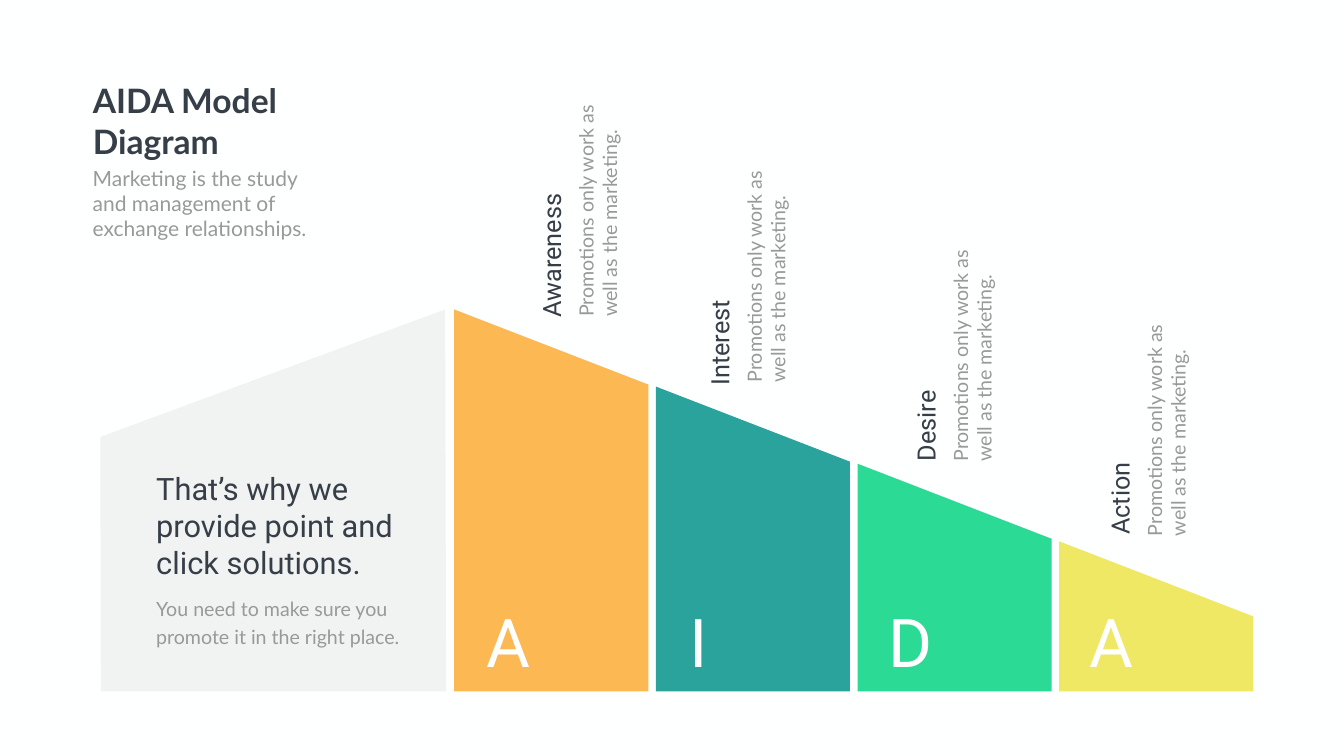
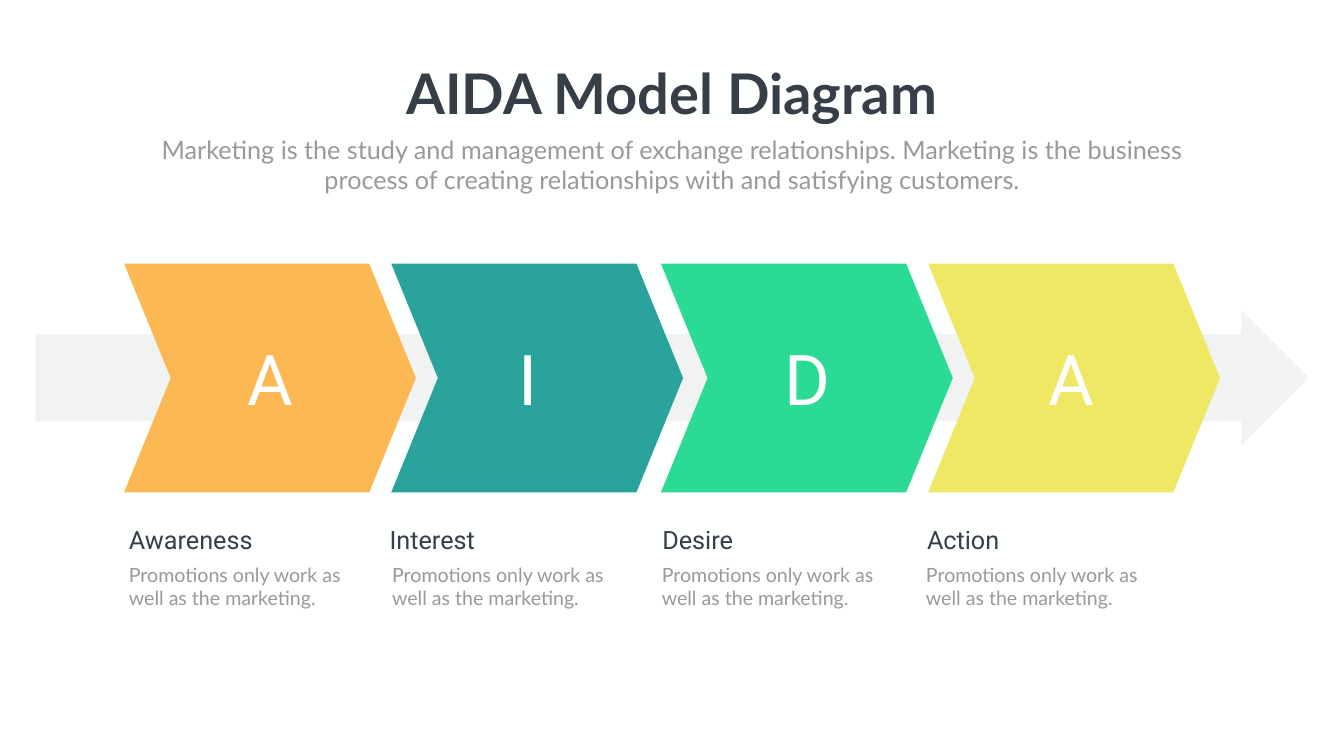
from pptx import Presentation
from pptx.dml.color import RGBColor
from pptx.enum.shapes import MSO_SHAPE
from pptx.enum.text import MSO_ANCHOR, MSO_AUTO_SIZE, PP_ALIGN
from pptx.oxml import parse_xml
from pptx.oxml.ns import nsdecls
from pptx.util import Pt

PX = 9144
PAGE_WIDTH, PAGE_HEIGHT = 2666, 1500
COLORS = {
    "page": "FEFFFF",
    "ink": "363E48",
    "muted": "999999",
    "white": "FFFFFF",
    "gray": "808080",
    "orange": "FCB853",
    "teal": "29A39C",
    "green": "2BDA95",
    "yellow": "EFE864",
}
HEADING, BODY = "Roboto", "Lato"
STAGES = [
    ("Awareness", "orange"),
    ("Interest", "teal"),
    ("Desire", "green"),
    ("Action", "yellow"),
]
TITLE = "AIDA Model Diagram"
STAGE_TEXT = "Promotions only work as well as the marketing."


def rgb(name):
    return RGBColor.from_string(COLORS[name])


def paint(shape, color, opacity=100):
    shape.shadow.inherit = False
    shape.line.fill.background()
    shape.fill.solid()
    shape.fill.fore_color.rgb = rgb(color)
    if opacity < 100:
        alpha = parse_xml(f'<a:alpha {nsdecls("a")} val="{opacity * 1000}"/>')
        shape.fill._xPr.find(".//{*}srgbClr").append(alpha)


def write(box, text, size, font, color, align=PP_ALIGN.LEFT, bold=False, wrap=True, spacing=None):
    frame = box.text_frame
    frame.word_wrap = wrap
    frame.auto_size = MSO_AUTO_SIZE.NONE
    frame.vertical_anchor = MSO_ANCHOR.TOP
    para = frame.paragraphs[0]
    para.alignment = align
    if spacing:
        para.line_spacing = Pt(spacing)
    span = para.add_run()
    span.text = text
    span.font.size = Pt(size)
    span.font.name = font
    span.font.bold = bold
    span.font.color.rgb = rgb(color)


def add_text(page, left, top, width, height, *content, rotation=0, **style):
    box = page.shapes.add_textbox(left * PX, top * PX, width * PX, height * PX)
    box.rotation = rotation
    write(box, *content, **style)


def add_polygon(page, points, color, opacity=100):
    builder = page.shapes.build_freeform(*points[0], scale=PX)
    builder.add_line_segments(points[1:], close=True)
    paint(builder.convert_to_shape(), color, opacity)


def add_preset(page, kind, left, top, width, height, adjustments, color, opacity=100):
    shape = page.shapes.add_shape(kind, left * PX, top * PX, width * PX, height * PX)
    for index, value in enumerate(adjustments):
        shape.adjustments[index] = value
    paint(shape, color, opacity)


def add_page(deck):
    page = deck.slides.add_slide(deck.slide_layouts[5])
    page.background.fill.solid()
    page.background.fill.fore_color.rgb = rgb("page")
    return page


def set_title(page, left, top, width, height, size, **style):
    title = page.shapes.title
    title.left, title.top = left * PX, top * PX
    title.width, title.height = width * PX, height * PX
    write(title, TITLE, size, BODY, "ink", bold=True, **style)


def add_message_panel(page, left, top):
    bottom = top + 758
    add_polygon(
        page,
        [(left + 684, top), (left, top + 253), (left + 1, bottom), (left + 686, bottom)],
        "gray", 10,
    )
    add_text(page, left + 101, top + 313, 535, 232,
             "That’s why we provide point and click solutions.", 44, HEADING, "ink")
    add_text(page, left + 101, top + 555, 510, 119,
             "You need to make sure you promote it in the right place.", 28, BODY, "muted",
             spacing=40.8)


def add_bar(page, left, top, bottom, letter, letter_inset, color):
    right = left + 385
    add_polygon(page, [(left, top), (right, top + 149), (right, bottom), (left, bottom)], color)
    add_text(page, left + letter_inset, bottom - 186, 129, 172, letter, 96, HEADING, "white")


def add_vertical_label(page, left, name_top, text_top, name):
    add_text(page, left, name_top, 417, 71, name, 36, HEADING, "ink", rotation=270)
    add_text(page, left + 45, text_top, 511, 104, STAGE_TEXT, 28, BODY, "muted", rotation=270)


def add_chevron(page, left, top, letter, letter_inset, color):
    add_preset(page, MSO_SHAPE.CHEVRON, left, top, 579, 454, [0.204], color)
    add_text(page, left + letter_inset, top + 137, 195, 178, letter, 100, HEADING, "white",
             align=PP_ALIGN.CENTER)


def add_caption(page, name_left, text_left, top, name):
    add_text(page, name_left, top, 346, 71, name, 36, HEADING, "ink")
    add_text(page, text_left, top + 75, 487, 104, STAGE_TEXT, 28, BODY, "muted")


def build_slope_page(deck):
    page = add_page(deck)
    set_title(page, 174, 154, 596, 170, 48)
    add_text(page, 174, 323, 497, 162,
             "Marketing is the study and management of exchange relationships.", 30, BODY, "muted")
    add_message_panel(page, 199, 614)
    letter_insets = [54, 57, 52, 50]
    labels = [(885, 396, 331), (1219, 531, 461), (1628, 681, 618), (2013, 827, 766)]
    for index, (name, color) in enumerate(STAGES):
        top = 614 + 460 * index // 3
        add_bar(page, 901 + 400 * index, top, 1372, name[0], letter_insets[index], color)
        add_vertical_label(page, *labels[index], name)


def build_arrow_page(deck):
    page = add_page(deck)
    set_title(page, 786, 112, 1094, 145, 80, align=PP_ALIGN.CENTER, wrap=False)
    add_text(page, 292, 261, 2082, 131,
             "Marketing is the study and management of exchange relationships. "
             "Marketing is the business process of creating relationships with "
             "and satisfying customers.",
             36, BODY, "muted", align=PP_ALIGN.CENTER)
    add_preset(page, MSO_SHAPE.RIGHT_ARROW, 70, 616, 2526, 267, [0.65, 0.5], "gray", 10)
    chevrons = [(246, 192), (776, 174), (1311, 194), (1841, 187)]
    captions = [(246, 246), (763, 768), (1304, 1303), (1829, 1827)]
    for (name, color), (left, inset), caption in zip(STAGES, chevrons, captions):
        add_chevron(page, left, 523, name[0], inset, color)
        add_caption(page, *caption, 1036, name)


def main():
    deck = Presentation()
    deck.slide_width, deck.slide_height = PAGE_WIDTH * PX, PAGE_HEIGHT * PX
    build_slope_page(deck)
    build_arrow_page(deck)
    deck.save("out.pptx")


if __name__ == "__main__":
    main()
